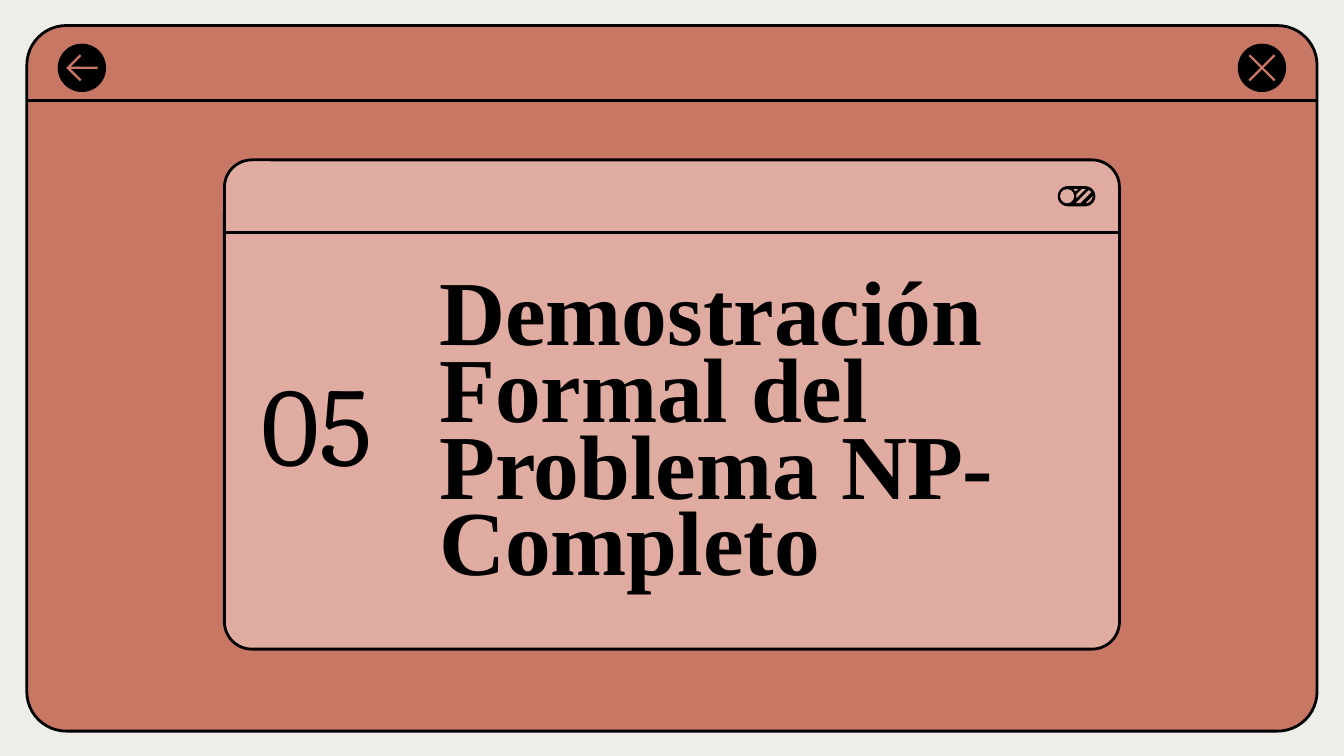
from pptx import Presentation
from pptx.dml.color import RGBColor
from pptx.enum.shapes import MSO_CONNECTOR, MSO_SHAPE
from pptx.enum.text import MSO_ANCHOR
from pptx.oxml.ns import qn
from pptx.util import Inches, Pt
from lxml import etree

ROUNDED = MSO_SHAPE.ROUNDED_RECTANGLE
OVAL = MSO_SHAPE.OVAL
STRAIGHT = MSO_CONNECTOR.STRAIGHT
MIDDLE = MSO_ANCHOR.MIDDLE
BOTTOM = MSO_ANCHOR.BOTTOM

# The grid has 100 columns across the slide and square cells
COLUMNS = 100
PAPER, CLAY, ROSE, INK = "EEEEE9", "C77763", "E0ABA0", "000000"
CORNER = 0.056
OUTLINE = 1.5


def color(value):
    return RGBColor.from_string(value)


class Page:
    def __init__(self, deck):
        self.cell = deck.slide_width / COLUMNS
        self.slide = deck.slides.add_slide(deck.slide_layouts[6])
        self.shapes = self.slide.shapes

    def grid(self, *lengths):
        return [round(length * self.cell) for length in lengths]

    def background(self, fill):
        self.slide.background.fill.solid()
        self.slide.background.fill.fore_color.rgb = color(fill)

    def paint(self, shape, fill, line=None):
        shape.shadow.inherit = False
        shape.fill.solid()
        shape.fill.fore_color.rgb = color(fill)
        if line:
            shape.line.color.rgb = color(line)
            shape.line.width = Pt(OUTLINE)
        else:
            shape.line.fill.background()

    def rounded(self, left, top, width, height, fill, line=None, corner=CORNER):
        shape = self.shapes.add_shape(ROUNDED, *self.grid(left, top, width, height))
        shape.adjustments[0] = corner
        self.paint(shape, fill, line)

    def disc(self, x, y, size, fill):
        corner = self.grid(x - size / 2, y - size / 2, size, size)
        self.paint(self.shapes.add_shape(OVAL, *corner), fill)

    def rule(self, left, right, y):
        line = self.shapes.add_connector(STRAIGHT, *self.grid(left, y, right, y))
        line.line.color.rgb = color(INK)
        line.line.width = Pt(OUTLINE)
        etree.SubElement(line._element.spPr, qn("a:effectLst"))

    def outline(self, x, y, points, fill):
        """Closed polygon; points are offsets from (x, y)."""
        corners = [self.grid(x + dx, y + dy) for dx, dy in points]
        builder = self.shapes.build_freeform(*corners[0], scale=1.0)
        builder.add_line_segments(corners[1:], close=True)
        self.paint(builder.convert_to_shape(), fill)

    def text(self, left, top, width, height, words, font, size,
             anchor, bold=False, spacing=1.0):
        box = self.shapes.add_textbox(*self.grid(left, top, width, height))
        frame = box.text_frame
        frame.word_wrap = True
        frame.vertical_anchor = anchor
        frame.margin_left = frame.margin_right = Inches(0.1)
        frame.margin_top = frame.margin_bottom = Inches(0.1)
        frame.text = words
        para = frame.paragraphs[0]
        para.line_spacing = spacing
        span = para.runs[0]
        span.font.name = font
        span.font.size = Pt(size)
        span.font.bold = bold
        span.font.color.rgb = color(INK)


def main():
    deck = Presentation()
    deck.slide_width, deck.slide_height = Inches(10), Inches(5.625)
    page = Page(deck)
    page.background(PAPER)

    # Outer window and inner card, each with a title bar
    page.rounded(2, 1.9, 96, 52.5, CLAY, INK)
    page.rule(2.1, 98, 7.45)
    page.rounded(16.7, 11.9, 66.6, 36.4, ROSE, INK)
    page.rule(16.8, 83.3, 17.3)

    # Section number and title
    page.text(18.5, 27.9, 43.6, 6.9, "05", "Cambria", 60, MIDDLE)
    page.text(31.7, 17.8, 57, 27.2, "Demostración Formal del Problema NP-Completo",
              "Times New Roman", 49, BOTTOM, bold=True, spacing=0.7)

    # Close button: one arm of the cross, turned four times
    close_x, back_x, button_y = 93.9, 6.1, 5.05
    page.disc(close_x, button_y, 3.6, INK)
    cross = []
    arm = [(-0.12, 0), (-1, -0.88), (-0.88, -1)]
    for _ in range(4):
        cross += arm
        arm = [(-dy, dx) for dx, dy in arm]
    page.outline(close_x, button_y, cross, CLAY)

    # Back button: upper half of the arrow, mirrored below
    page.disc(back_x, button_y, 3.6, INK)
    upper = [(-1.17, 0), (-0.15, -1), (-0.03, -0.88), (-0.83, -0.08), (1.17, -0.08)]
    lower = [(dx, -dy) for dx, dy in reversed(upper[1:])]
    page.outline(back_x, button_y, upper + lower, CLAY)

    # Toggle: pill, knob and slanted stripes
    toggle_x, toggle_y = 80.1, 14.6
    page.rounded(78.7, 13.85, 2.8, 1.5, INK, corner=0.5)
    page.disc(79.4, toggle_y, 1.05, ROSE)
    stripes = [
        [(0.1, -0.52), (-0.1, -0.35), (-0.2, -0.52)],
        [(0.67, -0.52), (0, 0.15), (0, -0.13), (0.4, -0.52)],
        [(0.9, -0.45), (1.1, -0.3), (0.28, 0.52), (-0.07, 0.52)],
        [(1.22, -0.02), (1.1, 0.3), (0.9, 0.48), (0.68, 0.52)],
    ]
    for stripe in stripes:
        page.outline(toggle_x, toggle_y, stripe, ROSE)

    deck.save("out.pptx")


if __name__ == "__main__":
    main()
